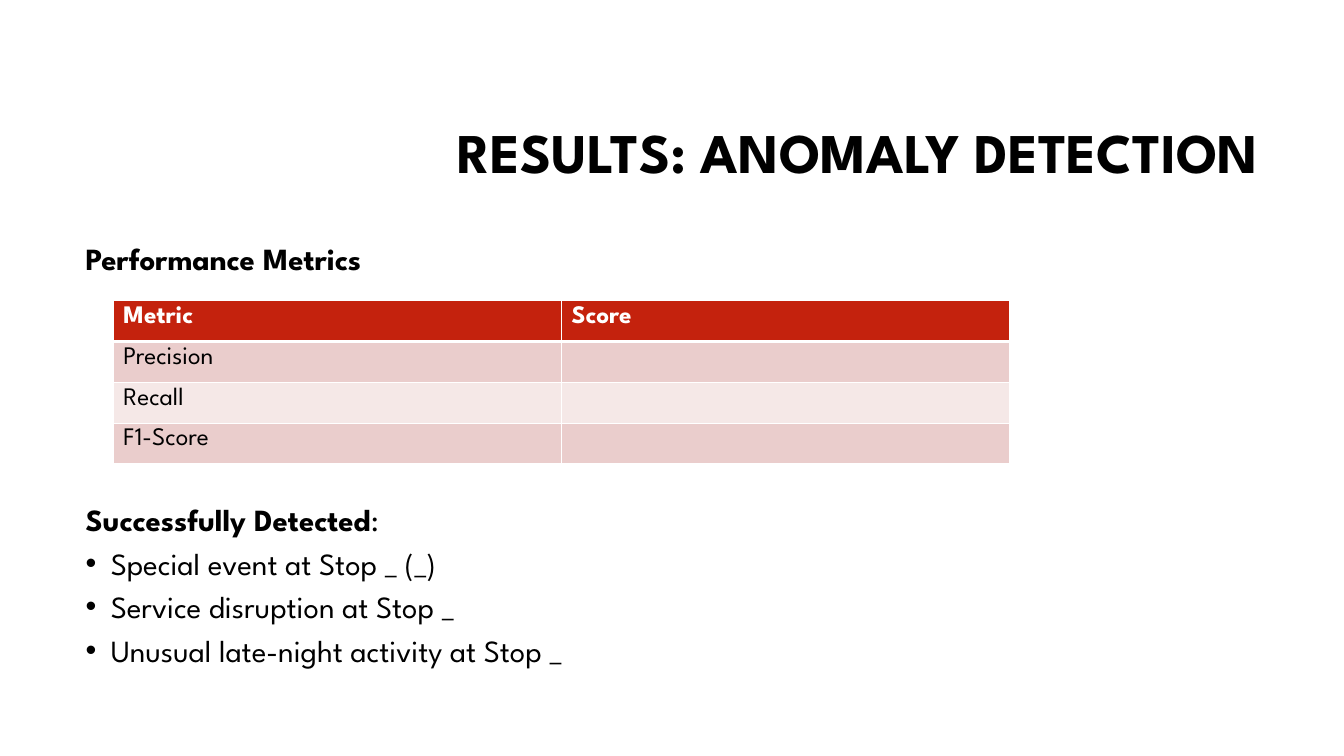
import dataclasses

import pptx
import pptx.dml.color
import pptx.enum.text
import pptx.oxml
import pptx.oxml.ns
import pptx.util

ALIGN = pptx.enum.text.PP_ALIGN
ANCHOR = pptx.enum.text.MSO_ANCHOR


@dataclasses.dataclass(frozen=True)
class Theme:
    font: str = "League Spartan"
    ink: str = "000000"
    paper: str = "FFFFFF"
    header: str = "C4220D"
    bands: tuple = ("EACDCC", "F5E8E7")
    title_size: int = 40
    body_size: int = 22
    table_size: int = 18
    thin_rule: int = 1
    thick_rule: int = 3
    bullet_indent: float = 0.25


class SlideBuilder:
    """Draws styled elements on one slide laid out on a 160 by 90 grid."""

    columns, rows = 160, 90

    def __init__(self, deck, theme):
        self.theme = theme
        self.slide = deck.slides.add_slide(deck.slide_layouts[5])
        self.column = deck.slide_width / self.columns
        self.row = deck.slide_height / self.rows

    def box(self, left, top, width, height):
        return (round(left * self.column), round(top * self.row),
                round(width * self.column), round(height * self.row))

    def style(self, target, formats):
        for name, value in formats.items():
            setattr(target, name, value)

    def add_words(self, paragraph, words, size, color, bold=False):
        run = paragraph.add_run()
        run.text = words
        self.style(run.font, {"name": self.theme.font, "bold": bold,
                              "size": pptx.util.Pt(size)})
        run.font.color.rgb = pptx.dml.color.RGBColor.from_string(color)

    def title(self, words, *place):
        heading = self.slide.shapes.title
        self.style(heading, dict(zip(("left", "top", "width", "height"), self.box(*place))))
        self.style(heading.text_frame, {
            "word_wrap": True, "vertical_anchor": ANCHOR.MIDDLE,
            "auto_size": pptx.enum.text.MSO_AUTO_SIZE.NONE})
        line = heading.text_frame.paragraphs[0]
        self.style(line, {"alignment": ALIGN.RIGHT, "line_spacing": 0.9})
        self.add_words(line, words, self.theme.title_size, self.theme.ink, True)

    def bullet(self, paragraph):
        indent = pptx.util.Inches(self.theme.bullet_indent)
        properties = paragraph._p.get_or_add_pPr()
        properties.set("marL", str(indent))
        properties.set("indent", str(-indent))
        namespace = pptx.oxml.ns.nsdecls("a")
        for mark in ('<a:buFont %s typeface="Arial"/>', '<a:buChar %s char="•"/>'):
            properties.append(pptx.oxml.parse_xml(mark % namespace))

    def body(self, lines, *place):
        frame = self.slide.shapes.add_textbox(*self.box(*place)).text_frame
        frame.word_wrap = True
        for index, (runs, gap, bulleted) in enumerate(lines):
            paragraph = frame.add_paragraph() if index else frame.paragraphs[0]
            self.style(paragraph, {"alignment": ALIGN.LEFT, "line_spacing": 0.8,
                                   "space_before": pptx.util.Pt(gap)})
            if bulleted:
                self.bullet(paragraph)
            for words, bold in runs:
                self.add_words(paragraph, words, self.theme.body_size, self.theme.ink, bold)

    def borders(self, cell, top, bottom):
        thin = self.theme.thin_rule
        for side, points in zip("LRTB", (thin, thin, top, bottom)):
            cell._tc.get_or_add_tcPr().append(pptx.oxml.parse_xml(
                f'<a:ln{side} {pptx.oxml.ns.nsdecls("a")} w="{pptx.util.Pt(points)}">'
                f'<a:solidFill><a:srgbClr val="{self.theme.paper}"/></a:solidFill>'
                f'</a:ln{side}>'))

    def table(self, records, *place):
        theme = self.theme
        grid = self.slide.shapes.add_table(
            len(records), len(records[0]), *self.box(*place)).table
        for index, record in enumerate(records):
            is_header = index == 0
            fill = theme.header if is_header else theme.bands[(index - 1) % 2]
            top = theme.thick_rule if index == 1 else theme.thin_rule
            bottom = theme.thick_rule if is_header else theme.thin_rule
            for position, words in enumerate(record):
                cell = grid.cell(index, position)
                self.borders(cell, top, bottom)
                cell.fill.solid()
                cell.fill.fore_color.rgb = pptx.dml.color.RGBColor.from_string(fill)
                if words:
                    self.add_words(cell.text_frame.paragraphs[0], words, theme.table_size,
                                   theme.paper if is_header else theme.ink, is_header)


def main():
    deck = pptx.Presentation()
    deck.slide_width = pptx.util.Inches(13.33)
    deck.slide_height = pptx.util.Inches(7.5)
    results = SlideBuilder(deck, Theme())
    results.title("RESULTS: ANOMALY DETECTION", 38, 10, 113, 17)

    line_gap, table_gap = 10, 165.4
    detections = ("Special event at Stop _ (_)", "Service disruption at Stop _",
                  "Unusual late-night activity at Stop _")
    results.body([
        ([("Performance Metrics", True)], line_gap, False),
        ([("Successfully Detected", True), (":", False)], table_gap, False),
        *(([(detection, False)], line_gap, True) for detection in detections),
    ], 9, 28.8, 142, 52.8)

    metrics = [("Metric", "Score"), ("Precision", ""), ("Recall", ""), ("F1-Score", "")]
    results.table(metrics, 13.5, 35.8, 106.7, 19.44)
    deck.save("out.pptx")


if __name__ == "__main__":
    main()
